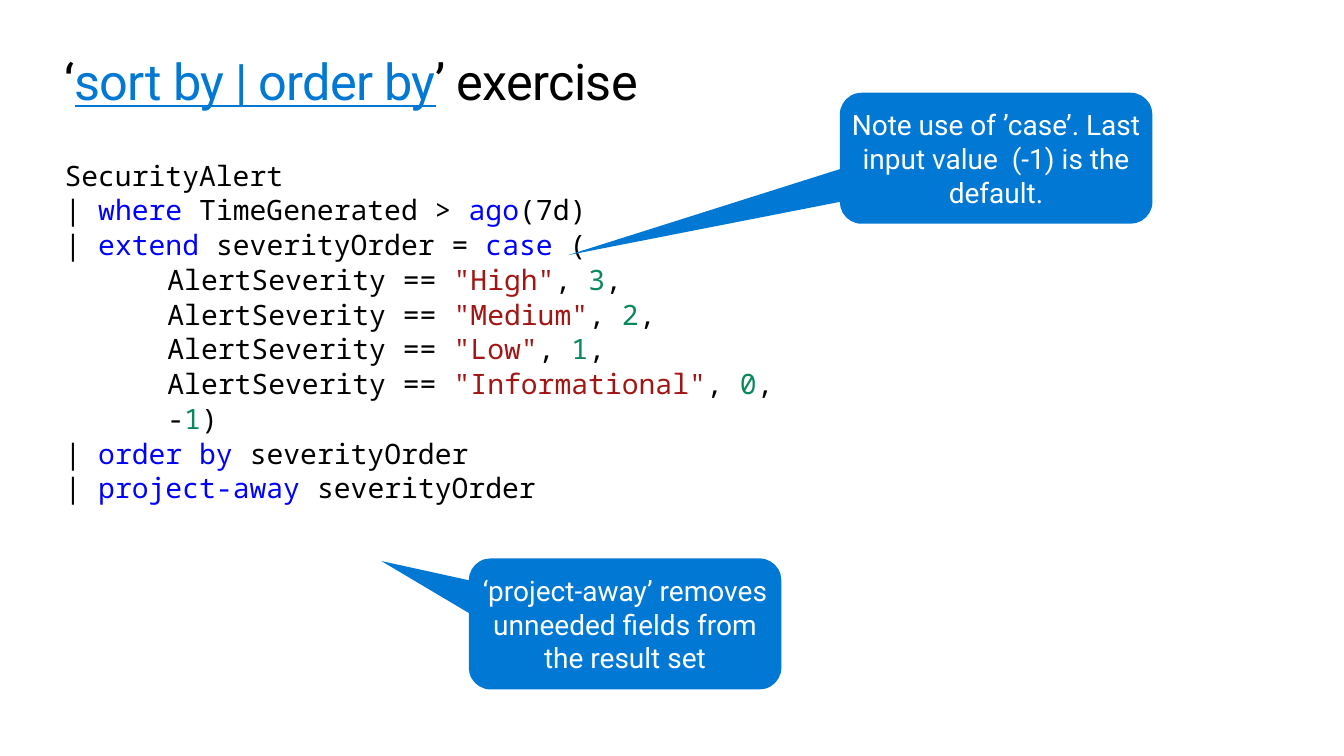
from lxml.etree import SubElement
from pptx import Presentation
from pptx.dml.color import RGBColor
from pptx.enum.shapes import MSO_SHAPE
from pptx.enum.text import MSO_ANCHOR, PP_ALIGN
from pptx.oxml.ns import qn
from pptx.util import Inches, Pt

BLACK = RGBColor(0x00, 0x00, 0x00)
WHITE = RGBColor(0xFF, 0xFF, 0xFF)
ACCENT = RGBColor(0x00, 0x78, 0xD4)
KEYWORD = RGBColor(0x00, 0x00, 0xFF)
STRING = RGBColor(0xA3, 0x15, 0x15)
NUMBER = RGBColor(0x09, 0x88, 0x5A)


class QuerySlide:
    text_font = "Roboto"
    code_font = "Noto Sans Mono"
    text_size = Pt(20)
    title_size = Pt(36)
    left, width = Inches(0.64), Inches(12.05)

    def __init__(self, presentation):
        self.slide = presentation.slides.add_slide(presentation.slide_layouts[6])

    def set_margins(self, frame, margin):
        frame.word_wrap = True
        frame.margin_left = frame.margin_right = margin
        frame.margin_top = frame.margin_bottom = margin

    def text_frame(self, top, height):
        box = self.slide.shapes.add_textbox(self.left, top, self.width, height)
        self.set_margins(box.text_frame, 0)
        return box.text_frame

    def style(self, paragraph, font_name, size):
        paragraph.font.name = font_name
        paragraph.font.size = size

    def add_run(self, paragraph, text, color):
        run = paragraph.add_run()
        run.text = text
        run.font.color.rgb = color
        return run

    def title(self, parts):
        heading = self.text_frame(Inches(0.5), Inches(0.61)).paragraphs[0]
        self.style(heading, self.text_font, self.title_size)
        for text, color in parts:
            run = self.add_run(heading, text, color)
            run.font.underline = color == ACCENT
            run.font._element.set("spc", "-50")

    def code(self, lines):
        frame = self.text_frame(Inches(1.57), Inches(3.97))
        for index, line in enumerate(lines):
            statement = frame.add_paragraph() if index else frame.paragraphs[0]
            self.style(statement, self.code_font, self.text_size)
            statement.space_before = Pt(0.8)
            for text, color in line:
                self.add_run(statement, text, color)
            # Tab stop for the indented arguments, placed before the font defaults
            properties = statement._p.get_or_add_pPr()
            tabs = SubElement(properties, qn("a:tabLst"))
            SubElement(tabs, qn("a:tab"), pos=str(Inches(1.02)), algn="l")
            properties.find(qn("a:defRPr")).addprevious(tabs)

    def callout(self, left, top, pointer, text):
        bubble = self.slide.shapes.add_shape(
            MSO_SHAPE.ROUNDED_RECTANGULAR_CALLOUT, left, top, Inches(3.1), Inches(1.3))
        bubble.adjustments[0], bubble.adjustments[1] = pointer
        bubble.shadow.inherit = False
        bubble.fill.solid()
        bubble.fill.fore_color.rgb = ACCENT
        bubble.line.fill.background()
        frame = bubble.text_frame
        self.set_margins(frame, Inches(0.04))
        frame.vertical_anchor = MSO_ANCHOR.MIDDLE
        note = frame.paragraphs[0]
        note.alignment = PP_ALIGN.CENTER
        self.style(note, self.text_font, self.text_size)
        self.add_run(note, text, WHITE)


def severity_case(name, rank):
    return [("\tAlertSeverity == ", BLACK), (f'"{name}"', STRING),
            (", ", BLACK), (rank, NUMBER), (",", BLACK)]


def pipe(keyword, rest):
    return [("| ", BLACK), (keyword, KEYWORD), (rest, BLACK)]


def main():
    presentation = Presentation()
    presentation.slide_width = Inches(13.33)
    presentation.slide_height = Inches(7.5)
    slide = QuerySlide(presentation)

    # Title
    slide.title([("‘", BLACK), ("sort by | order by", ACCENT), ("’ exercise", BLACK)])

    # Query
    severities = [("High", "3"), ("Medium", "2"), ("Low", "1"), ("Informational", "0")]
    slide.code([
        [("SecurityAlert", BLACK)],
        pipe("where ", "TimeGenerated > ") + [("ago", KEYWORD), ("(7d)", BLACK)],
        pipe("extend ", "severityOrder = ") + [("case", KEYWORD), (" (", BLACK)],
        *[severity_case(name, rank) for name, rank in severities],
        [("\t-", BLACK), ("1", NUMBER), (")", BLACK)],
        pipe("order by ", "severityOrder"),
        pipe("project-away ", "severityOrder"),
    ])

    # Callouts
    slide.callout(Inches(8.33), Inches(0.92), (-1.37, 0.74),
                  "Note use of ’case’. Last input value  (-1) is the default.")
    slide.callout(Inches(4.65), Inches(5.54), (-0.78, -0.48),
                  "‘project-away’ removes unneeded fields from the result set")

    presentation.save("out.pptx")


if __name__ == "__main__":
    main()
